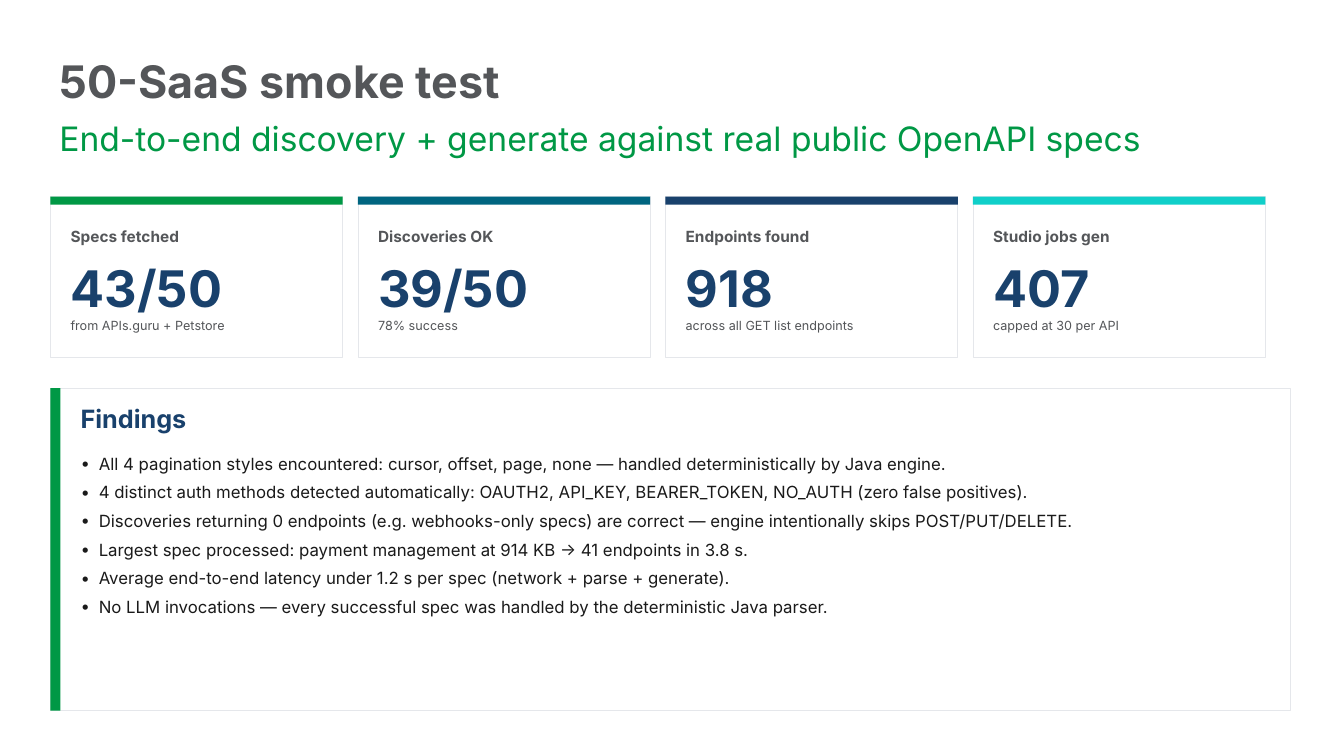
from pptx import Presentation
from pptx import util as u
from pptx.dml.color import RGBColor
from pptx.enum import shapes, text
from pptx.oxml.ns import qn
from lxml import etree

PX = 9144  # 100 px to the inch
FONT = "Inter"
GREY, GREEN, NAVY, INK = "545659", "009845", "19416C", "1A1A1A"
WHITE, BORDER = "FFFFFF", "E5E7EB"

CARDS = [
    ("Specs fetched", "43/50", "from APIs.guru + Petstore", GREEN),
    ("Discoveries OK", "39/50", "78% success", "006580"),
    ("Endpoints found", "918", "across all GET list endpoints", NAVY),
    ("Studio jobs gen", "407", "capped at 30 per API", "10CFC9"),
]
FINDINGS = [
    "All 4 pagination styles encountered: cursor, offset, page, none — handled deterministically by Java engine.",
    "4 distinct auth methods detected automatically: OAUTH2, API_KEY, BEARER_TOKEN, NO_AUTH (zero false positives).",
    "Discoveries returning 0 endpoints (e.g. webhooks-only specs) are correct — engine intentionally skips POST/PUT/DELETE.",
    "Largest spec processed: payment management at 914 KB → 41 endpoints in 3.8 s.",
    "Average end-to-end latency under 1.2 s per spec (network + parse + generate).",
    "No LLM invocations — every successful spec was handled by the deterministic Java parser.",
]


def px(*lengths):
    return [n * PX for n in lengths]


def color(value):
    return RGBColor.from_string(value)


def style(p, size, ink, bold=False):
    for r in p.runs:
        r.font.name = FONT
        r.font.size = u.Pt(size)
        r.font.bold = bold
        r.font.color.rgb = color(ink)


def add_rect(s, box, fill, line=None):
    sp = s.shapes.add_shape(shapes.MSO_SHAPE.RECTANGLE, *px(*box))
    sp.shadow.inherit = False
    sp.fill.solid()
    sp.fill.fore_color.rgb = color(fill)
    if line:
        sp.line.color.rgb = color(line)
        sp.line.width = u.Pt(0.5)
    else:
        sp.line.fill.background()


def add_text(s, box, content, size, ink, bold=False):
    tf = s.shapes.add_textbox(*px(*box)).text_frame
    tf.word_wrap = True
    tf.margin_left = tf.margin_top = tf.margin_right = tf.margin_bottom = 0
    tf.text = content
    for p in tf.paragraphs:
        style(p, size, ink, bold)
    return tf


def add_heading(s, box, content, size, ink, bold=False):
    tf = add_text(s, box, content, size, ink, bold)
    tf.margin_left = tf.margin_right = 10 * PX
    tf.margin_top = tf.margin_bottom = 5 * PX
    tf.vertical_anchor = text.MSO_ANCHOR.MIDDLE
    tf.paragraphs[0].line_spacing = 0.9


def add_bullet(p, indent):
    pPr = p._p.get_or_add_pPr()
    pPr.set("marL", str(indent * PX))
    pPr.set("indent", str(-indent * PX))
    etree.SubElement(pPr, qn("a:buFont"), typeface=FONT)
    etree.SubElement(pPr, qn("a:buChar"), char="•")


def add_card(s, left, label, value, note, accent):
    add_rect(s, (left, 195, 290, 160), WHITE, BORDER)
    add_rect(s, (left, 195, 290, 8), accent)
    add_text(s, (left + 20, 225, 250, 30), label, 11, GREY, True)
    add_text(s, (left + 20, 255, 250, 70), value, 36, NAVY, True)
    add_text(s, (left + 20, 315, 250, 30), note, 9, GREY)


def add_findings(s):
    add_rect(s, (50, 385, 1230, 320), WHITE, BORDER)
    add_rect(s, (50, 385, 10, 320), GREEN)
    add_text(s, (80, 400, 1200, 50), "Findings", 18, NAVY, True)
    tf = add_text(s, (80, 450, 1200, 250), "\n".join(FINDINGS), 12, INK)
    for p in tf.paragraphs:
        add_bullet(p, 18)
        p.space_after = u.Pt(6)


def main():
    prs = Presentation()
    prs.slide_width, prs.slide_height = px(1333, 750)
    s = prs.slides.add_slide(prs.slide_layouts[6])

    # Headings
    add_heading(s, (49, 52, 1235, 63), "50-SaaS smoke test", 32, GREY, True)
    add_heading(s, (49, 116, 1235, 47),
                "End-to-end discovery + generate against real public OpenAPI specs", 24, GREEN)

    # Result cards
    for i, card in enumerate(CARDS):
        add_card(s, 50 + i * 305, *card)

    # Findings panel
    add_findings(s)

    prs.save("out.pptx")


if __name__ == "__main__":
    main()
